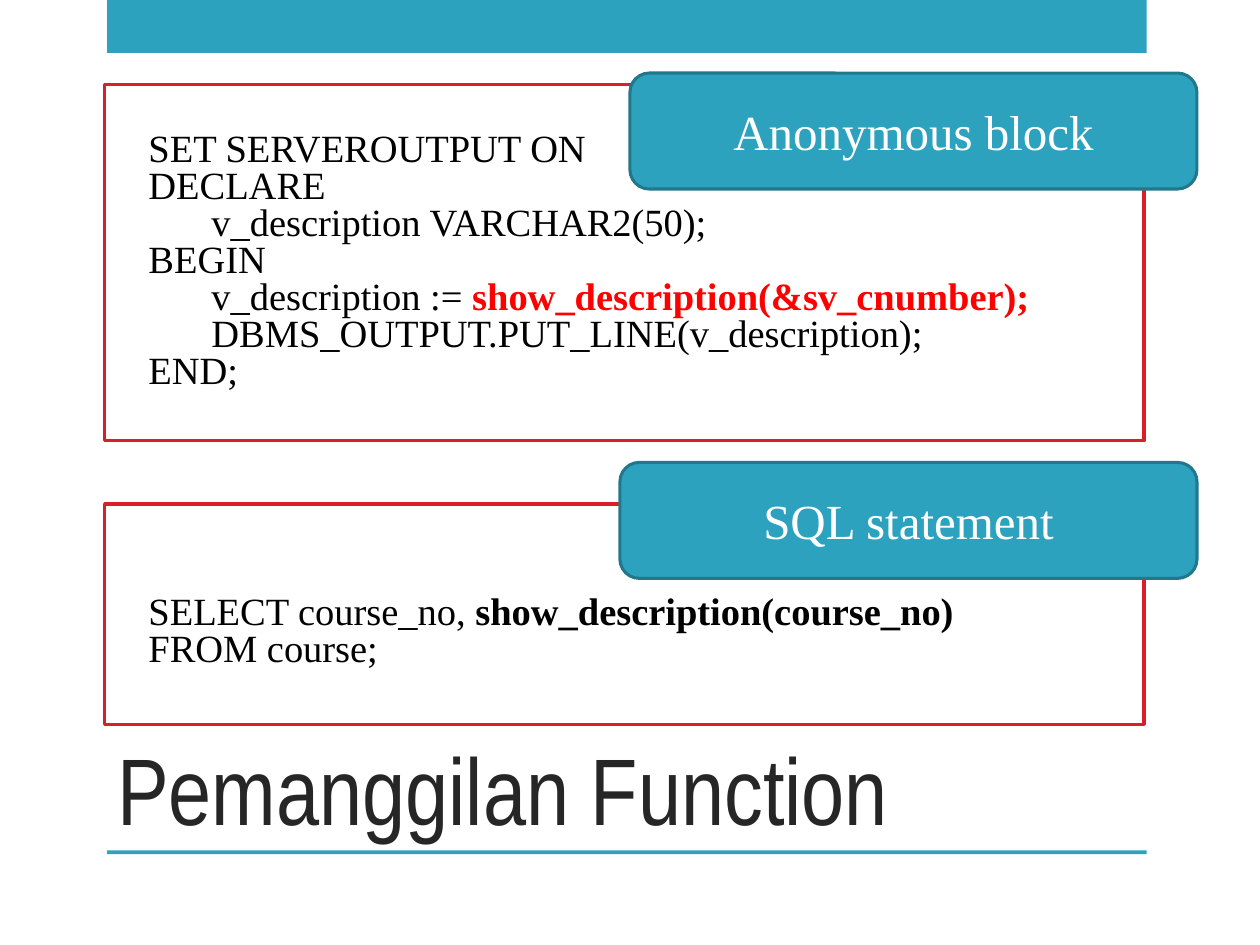
from dataclasses import dataclass

from pptx import Presentation
from pptx.dml.color import RGBColor
from pptx.enum.shapes import MSO_SHAPE
from pptx.enum.text import MSO_ANCHOR, MSO_AUTO_SIZE, PP_ALIGN
from pptx.util import Inches, Pt


@dataclass(frozen=True)
class Theme:
    accent: RGBColor = RGBColor(0x2D, 0xA2, 0xBF)
    accent_dark: RGBColor = RGBColor(0x21, 0x78, 0x8D)
    frame: RGBColor = RGBColor(0xDA, 0x1F, 0x28)
    title: RGBColor = RGBColor(0x26, 0x26, 0x26)
    text: RGBColor = RGBColor(0, 0, 0)
    call: RGBColor = RGBColor(0xFF, 0, 0)
    white: RGBColor = RGBColor(0xFF, 0xFF, 0xFF)
    title_font: str = "Arial Narrow"
    body_font: str = "Times New Roman"
    title_size: Pt = Pt(54)
    label_size: Pt = Pt(28)
    code_size: Pt = Pt(22)
    border: Pt = Pt(1.75)


THEME = Theme()


def style_run(r, font, size, color, bold=False):
    r.font.name = font
    r.font.size = size
    r.font.color.rgb = color
    r.font.bold = bold


def add_box(s, kind, box, fill, line=None):
    sp = s.shapes.add_shape(kind, *map(Inches, box))
    sp.shadow.inherit = False
    sp.fill.solid()
    sp.fill.fore_color.rgb = fill
    if line is None:
        sp.line.fill.background()
    else:
        sp.line.color.rgb = line
        sp.line.width = THEME.border
    return sp


def add_bands(s, left, width):
    for top, height in ((0, 0.42), (6.75, 0.03)):
        add_box(s, MSO_SHAPE.RECTANGLE, (left, top, width, height), THEME.accent)


def set_title(s, box, text):
    sp = s.shapes.title
    sp.left, sp.top, sp.width, sp.height = map(Inches, box)
    tf = sp.text_frame
    tf.text = text
    tf.word_wrap = True
    tf.auto_size = MSO_AUTO_SIZE.NONE
    tf.vertical_anchor = MSO_ANCHOR.BOTTOM
    p = tf.paragraphs[0]
    p.alignment = PP_ALIGN.LEFT
    style_run(p.runs[0], THEME.title_font, THEME.title_size, THEME.title)


def add_code(s, box, lines, call_color, margin_top=0.05):
    sp = add_box(s, MSO_SHAPE.RECTANGLE, box, THEME.white, THEME.frame)
    tf = sp.text_frame
    tf.word_wrap = True
    tf.vertical_anchor = MSO_ANCHOR.MIDDLE
    tf.margin_top = Inches(margin_top)
    for i, (code, call) in enumerate(lines):
        p = tf.paragraphs[0] if i == 0 else tf.add_paragraph()
        p.alignment = PP_ALIGN.LEFT
        p.line_spacing = 0.8
        pPr = p._p.get_or_add_pPr()
        pPr.set("marL", str(Inches(0.25)))
        pPr.set("indent", "0")
        r = p.add_run()
        r.text = code
        style_run(r, THEME.body_font, THEME.code_size, THEME.text)
        if call:
            r = p.add_run()
            r.text = call
            style_run(r, THEME.body_font, THEME.code_size, call_color, True)


def add_label(s, box, text):
    sp = add_box(s, MSO_SHAPE.ROUNDED_RECTANGLE, box, THEME.accent, THEME.accent_dark)
    tf = sp.text_frame
    tf.text = text
    tf.word_wrap = True
    tf.vertical_anchor = MSO_ANCHOR.MIDDLE
    p = tf.paragraphs[0]
    p.alignment = PP_ALIGN.CENTER
    style_run(p.runs[0], THEME.body_font, THEME.label_size, THEME.white)


def main():
    prs = Presentation()
    prs.slide_width, prs.slide_height = Inches(10), Inches(7.5)
    s = prs.slides.add_slide(prs.slide_layouts[5])
    add_bands(s, 0.85, 8.25)
    set_title(s, (0.83, 5, 7.42, 1.75), "Pemanggilan Function")
    block = [
        ("SET SERVEROUTPUT ON", ""),
        ("DECLARE", ""),
        ("\tv_description VARCHAR2(50);", ""),
        ("BEGIN", ""),
        ("\tv_description := ", "show_description(&sv_cnumber);"),
        ("\tDBMS_OUTPUT.PUT_LINE(v_description);", ""),
        ("END;", ""),
    ]
    query = [
        ("SELECT course_no, ", "show_description(course_no)"),
        ("FROM course;", ""),
    ]
    add_code(s, (0.83, 0.67, 8.25, 2.83), block, THEME.call)
    add_code(s, (0.83, 4, 8.25, 1.75), query, THEME.text, margin_top=0.34)
    add_label(s, (5, 0.58, 4.5, 0.92), "Anonymous block")
    add_label(s, (4.92, 3.67, 4.58, 0.92), "SQL statement")
    prs.save("out.pptx")


if __name__ == "__main__":
    main()
